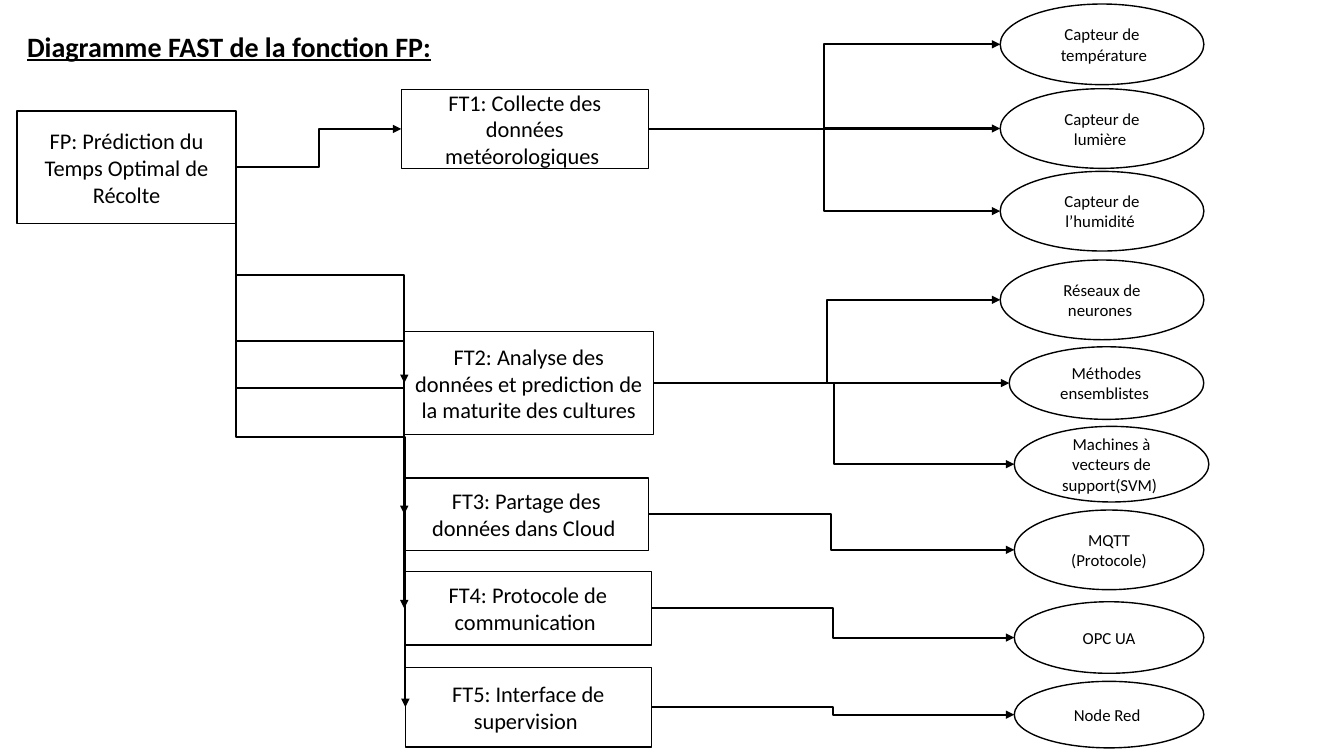
from collections import namedtuple

from lxml.etree import SubElement
from pptx import Presentation
from pptx.dml.color import RGBColor
from pptx.enum.shapes import MSO_CONNECTOR as Link, MSO_SHAPE as Shape
from pptx.enum.text import MSO_ANCHOR as Anchor, PP_ALIGN as Align
from pptx.oxml.ns import qn
from pptx.util import Inches, Pt

Node = namedtuple("Node", "text left top width height")
Point = namedtuple("Point", "x y")
Theme = namedtuple("Theme", "font ink paper title function solution outline link")

THEME = Theme("Calibri", RGBColor(0, 0, 0), RGBColor(255, 255, 255),
              title=20, function=16, solution=12, outline=1, link=1.5)

TITLE = Node("Diagramme FAST de la fonction FP:", 0.17, 0.24, 6.67, 0.44)
MAIN = Node("FP: Prédiction du Temps Optimal de Récolte", 0.17, 1.1, 2.17, 1.12)

# Each technical function with the solutions that fulfil it
BRANCHES = [
    (Node("FT1: Collecte des données metéorologiques ", 3.98, 0.89, 2.45, 0.78), [
        Node("Capteur de\n température", 9.92, 0.04, 2.02, 0.8),
        Node("Capteur de lumière ", 9.92, 0.88, 2.02, 0.79),
        Node("Capteur de l’humidité ", 9.92, 1.7, 2.02, 0.79)]),
    (Node("FT2: Analyse des données et prediction de la maturite des cultures",
          4.01, 3.29, 2.47, 1.02), [
        Node("Réseaux de neurones ", 9.92, 2.58, 2.02, 0.79),
        Node("Méthodes ensemblistes ", 10.01, 3.44, 1.93, 0.72),
        Node("Machines à vecteurs de support(SVM) ", 10.06, 4.23, 1.93, 0.75)]),
    (Node("FT3: Partage des données dans Cloud ", 4.01, 4.74, 2.42, 0.72), [
        Node("MQTT\n(Protocole)", 10.06, 5.06, 1.88, 0.79)]),
    (Node("FT4: Protocole de communication ", 4.01, 5.67, 2.45, 0.73), [
        Node("OPC UA", 10.06, 5.97, 1.88, 0.71)]),
    (Node("FT5: Interface de supervision ", 4.02, 6.62, 2.44, 0.79), [
        Node("Node Red ", 10.06, 6.76, 1.88, 0.66)]),
]
JUNCTION_X = 8.18
LEVEL_GAP = 0.03  # a solution this close to its function's height gets a straight arrow


def place(node):
    return [Inches(n) for n in (node.left, node.top, node.width, node.height)]


def left_side(node):
    return Point(node.left, node.top + node.height / 2)


def right_side(node):
    return Point(node.left + node.width, node.top + node.height / 2)


def write(frame, text, size, align, strong=False):
    frame.word_wrap = True
    for index, line in enumerate(text.split("\n")):
        para = frame.paragraphs[0] if index == 0 else frame.add_paragraph()
        para.alignment = align
        span = para.add_run()
        span.text = line
        span.font.name = THEME.font
        span.font.size = Pt(size)
        span.font.color.rgb = THEME.ink
        span.font.bold = span.font.underline = strong


def add_node(page, node, kind, size):
    box = page.shapes.add_shape(kind, *place(node))
    box.shadow.inherit = False
    box.fill.solid()
    box.fill.fore_color.rgb = THEME.paper
    box.line.color.rgb = THEME.ink
    box.line.width = Pt(THEME.outline)
    box.text_frame.vertical_anchor = Anchor.MIDDLE
    write(box.text_frame, node.text, size, Align.CENTER)


def add_arrow(page, start, end, kind=Link.ELBOW):
    arrow = page.shapes.add_connector(kind, *[Inches(n) for n in (*start, *end)])
    arrow.line.color.rgb = THEME.ink
    arrow.line.width = Pt(THEME.link)
    SubElement(arrow.line._get_or_add_ln(), qn("a:tailEnd"), type="triangle")
    properties = arrow._element.spPr
    SubElement(properties, qn("a:effectLst"))
    return properties


def add_drop_arrow(page, start, end):
    """Elbow that leaves downwards: a flipped connector turned by 270 degrees."""
    middle = Point((start.x + end.x) / 2, (start.y + end.y) / 2)
    half_run, half_drop = (end.x - start.x) / 2, (end.y - start.y) / 2
    properties = add_arrow(page,
                           Point(middle.x - half_drop, middle.y - half_run),
                           Point(middle.x + half_drop, middle.y + half_run))
    frame = properties.find(qn("a:xfrm"))
    frame.set("rot", str(270 * 60000))
    frame.set("flipH", "1")


def main():
    deck = Presentation()
    deck.slide_width, deck.slide_height = Inches(13.33), Inches(7.5)
    page = deck.slides.add_slide(deck.slide_layouts[6])

    title = page.shapes.add_textbox(*place(TITLE))
    write(title.text_frame, TITLE.text, THEME.title, Align.LEFT, strong=True)

    add_node(page, MAIN, Shape.RECTANGLE, THEME.function)
    for function, solutions in BRANCHES:
        add_node(page, function, Shape.RECTANGLE, THEME.function)
        for solution in solutions:
            add_node(page, solution, Shape.OVAL, THEME.solution)

    for index, (function, solutions) in enumerate(BRANCHES):
        connect = add_arrow if index == 0 else add_drop_arrow
        connect(page, right_side(MAIN), left_side(function))
        start = right_side(function)
        for solution in solutions:
            end = left_side(solution)
            if abs(end.y - start.y) < LEVEL_GAP:
                add_arrow(page, Point(JUNCTION_X, end.y), end, Link.STRAIGHT)
            else:
                add_arrow(page, start, end)

    deck.save("out.pptx")


if __name__ == "__main__":
    main()
